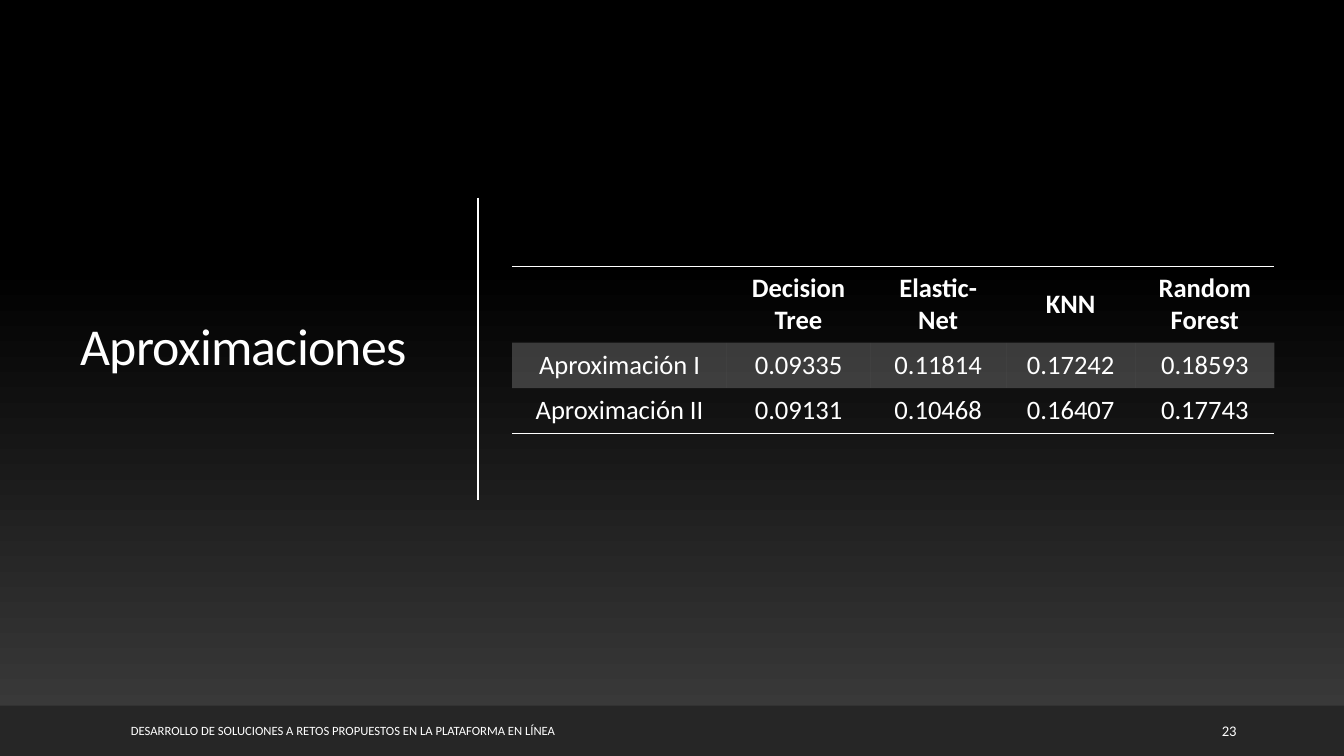
from pptx import Presentation
from pptx.dml.color import RGBColor
from pptx.enum import shapes, text
from pptx.oxml import parse_xml
from pptx.oxml.ns import nsdecls, qn
from pptx.util import Inches, Pt

# Content
TITLE = "Aproximaciones"
FOOTER = "DESARROLLO DE SOLUCIONES A RETOS PROPUESTOS EN LA PLATAFORMA EN LÍNEA"
PAGE = "23"
ROWS = [
    ("", "Decision Tree", "Elastic-Net", "KNN", "Random Forest"),
    ("Aproximación I", "0.09335", "0.11814", "0.17242", "0.18593"),
    ("Aproximación II", "0.09131", "0.10468", "0.16407", "0.17743"),
]
COL_WIDTHS = (2.13, 1.42, 1.35, 1.28, 1.38)
ROW_HEIGHTS = (0.76, 0.45, 0.45)
BORDERS = ("TB", "", "B")  # ruled sides of each row

WHITE = RGBColor(0xFF, 0xFF, 0xFF)
BLACK = RGBColor(0x00, 0x00, 0x00)
GRAY = RGBColor(0x3F, 0x3F, 0x3F)
BAR = RGBColor(0x26, 0x26, 0x26)
FONT = "Calibri"
NO_STYLE = "{2D5ABB26-0587-4C30-8999-92F81FD0307C}"
WIDTH, HEIGHT, BAR_TOP = 13.33, 7.5, 7


def add_run(p, words, size, bold=False):
    r = p.add_run()
    r.text = words
    r.font.name, r.font.size, r.font.bold = FONT, Pt(size), bold
    r.font.color.rgb = WHITE
    return r


def fade(fill):
    """Gray at the bottom, black from 65 % upwards."""
    fill.gradient()
    fill.gradient_angle = 90
    for stop, position, color in zip(fill.gradient_stops, (0, 0.65), (GRAY, BLACK)):
        stop.position = position
        stop.color.rgb = color


def add_panel(s, top, height):
    sp = s.shapes.add_shape(shapes.MSO_SHAPE.RECTANGLE, 0, Inches(top),
                            Inches(WIDTH), Inches(height))
    sp.shadow.inherit = False
    sp.line.fill.background()
    return sp


def add_label(s, left, width, words, size):
    tf = s.shapes.add_textbox(Inches(left), Inches(7.05), Inches(width), Inches(0.4)).text_frame
    tf.word_wrap = True
    tf.vertical_anchor = text.MSO_ANCHOR.MIDDLE
    p = tf.paragraphs[0]
    p.space_after = Pt(6)
    add_run(p, words, size)


def rule_cell(cell, sides):
    for side in "LRTB":
        paint = f'<a:solidFill><a:srgbClr val="{WHITE}"/></a:solidFill>' if side in sides else "<a:noFill/>"
        cell._tc.get_or_add_tcPr().append(parse_xml(
            f'<a:ln{side} {nsdecls("a")} w="{Pt(1)}">{paint}</a:ln{side}>'))


prs = Presentation()
prs.slide_width, prs.slide_height = Inches(WIDTH), Inches(HEIGHT)
s = prs.slides.add_slide(prs.slide_layouts[5])

# Background
fade(s.background.fill)

# Title
title = s.shapes.title
title.left, title.top, title.width, title.height = map(Inches, (0.7, 0.69, 3.69, 5.53))
tf = title.text_frame
tf.word_wrap = True
tf.auto_size = text.MSO_AUTO_SIZE.NONE
tf.vertical_anchor = text.MSO_ANCHOR.MIDDLE
p = tf.paragraphs[0]
p.alignment = text.PP_ALIGN.LEFT
p.line_spacing = 0.9
add_run(p, TITLE, 37).font._element.set("spc", "-50")

# Divider
divider = s.shapes.add_connector(shapes.MSO_CONNECTOR.STRAIGHT, Inches(4.74), Inches(1.96),
                                 Inches(4.74), Inches(4.96))
divider.line.color.rgb = WHITE
divider.line.width = Pt(1)
divider._element.spPr.append(parse_xml(f'<a:effectLst {nsdecls("a")}/>'))

# Footer
bar = add_panel(s, BAR_TOP, HEIGHT - BAR_TOP)
bar.fill.solid()
bar.fill.fore_color.rgb = BAR
add_label(s, 1.2, 7.46, FOOTER, 9)
add_label(s, 12.02, 0.85, PAGE, 10.5)

# Results table
frame = s.shapes.add_table(len(ROWS), len(COL_WIDTHS), Inches(5.08), Inches(2.64),
                           Inches(sum(COL_WIDTHS)), Inches(sum(ROW_HEIGHTS)))
frame._element.find(".//" + qn("a:tableStyleId")).text = NO_STYLE
table = frame.table
table.horz_banding = False
for column, width in zip(table.columns, COL_WIDTHS):
    column.width = Inches(width)
for i, (row, height, values) in enumerate(zip(table.rows, ROW_HEIGHTS, ROWS)):
    row.height = Inches(height)
    for cell, value in zip(row.cells, values):
        cell.vertical_anchor = text.MSO_ANCHOR.MIDDLE
        rule_cell(cell, BORDERS[i])
        if i == 1:
            cell.fill.solid()
            cell.fill.fore_color.rgb = WHITE
            color = cell._tc.tcPr.find(qn("a:solidFill"))[0]
            color.append(parse_xml(f'<a:alpha {nsdecls("a")} val="20000"/>'))
        else:
            cell.fill.background()
        if value:
            p = cell.text_frame.paragraphs[0]
            p.alignment = text.PP_ALIGN.CENTER
            add_run(p, value, 19, bold=i == 0)

prs.save("out.pptx")
